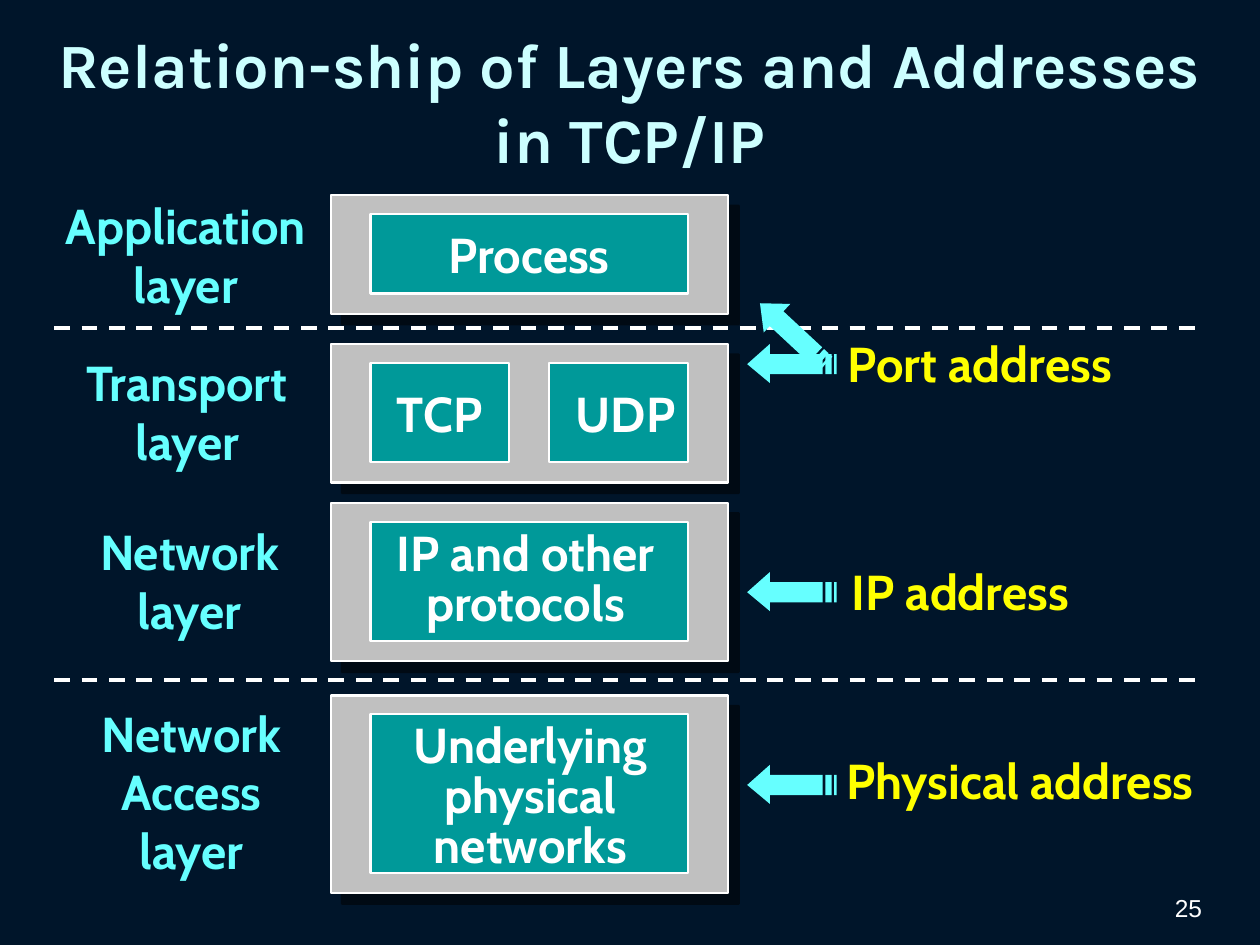
import pptx
import pptx.util
import pptx.dml.color
import pptx.enum.dml
import pptx.enum.shapes
import pptx.enum.text
import pptx.oxml
import pptx.oxml.ns
import lxml.etree

Inches = pptx.util.Inches
Pt = pptx.util.Pt
RGBColor = pptx.dml.color.RGBColor
ALIGN = pptx.enum.text.PP_ALIGN
ANCHOR = pptx.enum.text.MSO_ANCHOR
AUTO_SIZE = pptx.enum.text.MSO_AUTO_SIZE

NAVY = RGBColor(0x00, 0x15, 0x2A)
PALE_CYAN = RGBColor(0xCC, 0xFF, 0xFF)
CYAN = RGBColor(0x66, 0xFF, 0xFF)
TEAL = RGBColor(0x00, 0x99, 0x99)
SILVER = RGBColor(0xC0, 0xC0, 0xC0)
YELLOW = RGBColor(0xFF, 0xFF, 0x00)
WHITE = RGBColor(0xFF, 0xFF, 0xFF)

TITLE_FONT = {"name": "Karla", "size": Pt(36), "bold": True}
LABEL_FONT = {"name": "Cabin", "size": Pt(28), "bold": True}
NUMBER_FONT = {"name": "Arial", "size": Pt(14), "bold": False}
NO_MARGINS = {"margin_left": 0, "margin_top": 0, "margin_right": 0, "margin_bottom": 0}

PANEL_LEFT, PANEL_WIDTH = 2.63, 3.15
CELL_LEFT, CELL_WIDTH, CELL_GAP = 2.94, 2.52, 0.32
CELL_INSET = 0.15
ARROW_LEFT = 5.93
ARROW_UNIT = Inches(0.01)
ARROW_HEAD = [(18, 0), (18, 8), (60, 8), (60, 24), (18, 24), (18, 31), (0, 16)]
ARROW_STRIPES = [(62, 67), (69, 71)]


def apply(target, values):
    for attribute, value in values.items():
        setattr(target, attribute, value)


def inch_box(box):
    return [Inches(length) for length in box]


def write(frame, text, font, color, align, **paragraph_format):
    frame.text = text
    paragraph = frame.paragraphs[0]
    apply(paragraph, {"alignment": align, **paragraph_format})
    apply(paragraph.runs[0].font, font)
    paragraph.runs[0].font.color.rgb = color


def add_label(shapes, box, text, color, align=ALIGN.CENTER, **paragraph_format):
    frame = shapes.add_textbox(*inch_box(box)).text_frame
    apply(frame, {"word_wrap": True, "auto_size": AUTO_SIZE.SHAPE_TO_FIT_TEXT, **NO_MARGINS})
    write(frame, text, LABEL_FONT, color, align, **paragraph_format)


def add_block(shapes, box, color):
    block = shapes.add_shape(pptx.enum.shapes.MSO_SHAPE.RECTANGLE, *inch_box(box))
    block.shadow.inherit = False
    block.fill.solid()
    block.fill.fore_color.rgb = color
    block.line.color.rgb = WHITE
    block.line.width = Pt(1.25)
    return block


def add_panel(shapes, box):
    panel = add_block(shapes, box, SILVER)
    effects = panel._element.spPr.find(pptx.oxml.ns.qn("a:effectLst"))
    shadow = lxml.etree.SubElement(
        effects, pptx.oxml.ns.qn("a:outerShdw"),
        blurRad="0", dist=str(Pt(8.5)), dir="2700000", algn="ctr", rotWithShape="0")
    black = lxml.etree.SubElement(shadow, pptx.oxml.ns.qn("a:srgbClr"), val="000000")
    lxml.etree.SubElement(black, pptx.oxml.ns.qn("a:alpha"), val="50000")


def add_layer(shapes, top, height, caption, caption_box, protocols, **paragraph_format):
    add_panel(shapes, (PANEL_LEFT, top, PANEL_WIDTH, height))
    width = (CELL_WIDTH - CELL_GAP * (len(protocols) - 1)) / len(protocols)
    for index, (protocol, protocol_box) in enumerate(protocols):
        left = CELL_LEFT + index * (width + CELL_GAP)
        add_block(shapes, (left, top + CELL_INSET, width, height - 2 * CELL_INSET - 0.01), TEAL)
        add_label(shapes, protocol_box, protocol, WHITE, **paragraph_format)
    add_label(shapes, caption_box, caption, CYAN)


def add_striped_arrow(shapes, left, top, rotation=0):
    contours = [ARROW_HEAD] + [
        [(end, 8), (end, 24), (start, 24), (start, 8)] for start, end in ARROW_STRIPES]
    builder = shapes.build_freeform(*contours[0][0], scale=ARROW_UNIT)
    for index, contour in enumerate(contours):
        if index:
            builder.move_to(*contour[0])
        builder.add_line_segments(contour[1:], close=True)
    arrow = builder.convert_to_shape()
    apply(arrow, {"left": Inches(left), "top": Inches(top), "rotation": rotation})
    arrow.shadow.inherit = False
    arrow.fill.solid()
    arrow.fill.fore_color.rgb = CYAN
    arrow.line.fill.background()


def add_divider(shapes, y):
    divider = shapes.add_connector(
        pptx.enum.shapes.MSO_CONNECTOR.STRAIGHT, *inch_box((0.43, y, 9.57, y)))
    apply(divider.line, {"width": Pt(2.25), "dash_style": pptx.enum.dml.MSO_LINE.DASH})
    divider.line.color.rgb = WHITE
    lxml.etree.SubElement(divider._element.spPr, pptx.oxml.ns.qn("a:effectLst"))


def add_title(slide, box, text):
    title = slide.shapes.title
    apply(title, dict(zip(("left", "top", "width", "height"), inch_box(box))))
    apply(title.text_frame, {"word_wrap": True, "auto_size": AUTO_SIZE.NONE,
                             "vertical_anchor": ANCHOR.MIDDLE})
    write(title.text_frame, text, TITLE_FONT, PALE_CYAN, ALIGN.CENTER)


def add_slide_number(shapes, box, number):
    frame = shapes.add_textbox(*inch_box(box)).text_frame
    apply(frame, {"word_wrap": True, "vertical_anchor": ANCHOR.BOTTOM})
    write(frame, number, NUMBER_FONT, WHITE, ALIGN.RIGHT)


def add_layers(slide):
    network = slide.shapes.add_group_shape().shapes
    add_layer(network, 3.99, 1.26, "Network layer", (0.77, 4.14, 1.47, 0.93),
              [("IP and other protocols", (3.03, 4.22, 2.28, 0.8))], line_spacing=0.85)
    add_striped_arrow(network, ARROW_LEFT, 4.54)

    access = slide.shapes.add_group_shape().shapes
    add_layer(access, 5.52, 1.57, "Network Access layer", (0.57, 5.58, 1.9, 1.4),
              [("Underlying physical networks", (3.11, 5.74, 2.2, 1.19))], line_spacing=0.85)
    add_striped_arrow(access, ARROW_LEFT, 6.07)

    for y in (2.6, 5.4):
        add_divider(slide.shapes, y)

    upper = slide.shapes.add_group_shape().shapes
    add_layer(upper, 1.55, 0.94, "Application layer", (0.48, 1.55, 1.99, 0.93),
              [("Process", (3.49, 1.78, 1.42, 0.47))])
    add_layer(upper, 2.73, 1.1, "Transport layer", (0.58, 2.8, 1.81, 0.93),
              [("TCP", (3.02, 3.04, 0.94, 0.47)), ("UDP", (4.53, 3.04, 0.87, 0.47))])
    add_striped_arrow(upper, ARROW_LEFT, 2.73)
    add_striped_arrow(upper, 5.94, 2.49, rotation=42.9)


def add_addresses(shapes):
    for address, box in (
        ("Physical address", (6.72, 5.96, 2.93, 0.47)),
        ("IP address", (6.76, 4.46, 1.89, 0.47)),
        ("Port address", (6.73, 2.65, 2.27, 0.47)),
    ):
        add_label(shapes, box, address, YELLOW, ALIGN.LEFT)


def main():
    presentation = pptx.Presentation()
    apply(presentation, {"slide_width": Inches(10), "slide_height": Inches(7.5)})
    slide = presentation.slides.add_slide(presentation.slide_layouts[5])
    slide.background.fill.solid()
    slide.background.fill.fore_color.rgb = NAVY
    add_slide_number(slide.shapes, (7.31, 6.9, 2.33, 0.47), "25")
    add_title(slide, (0.35, 0.13, 9.29, 1.34), "Relation-ship of Layers and Addresses in TCP/IP")
    add_addresses(slide.shapes)
    add_layers(slide)
    presentation.save("out.pptx")


if __name__ == "__main__":
    main()
